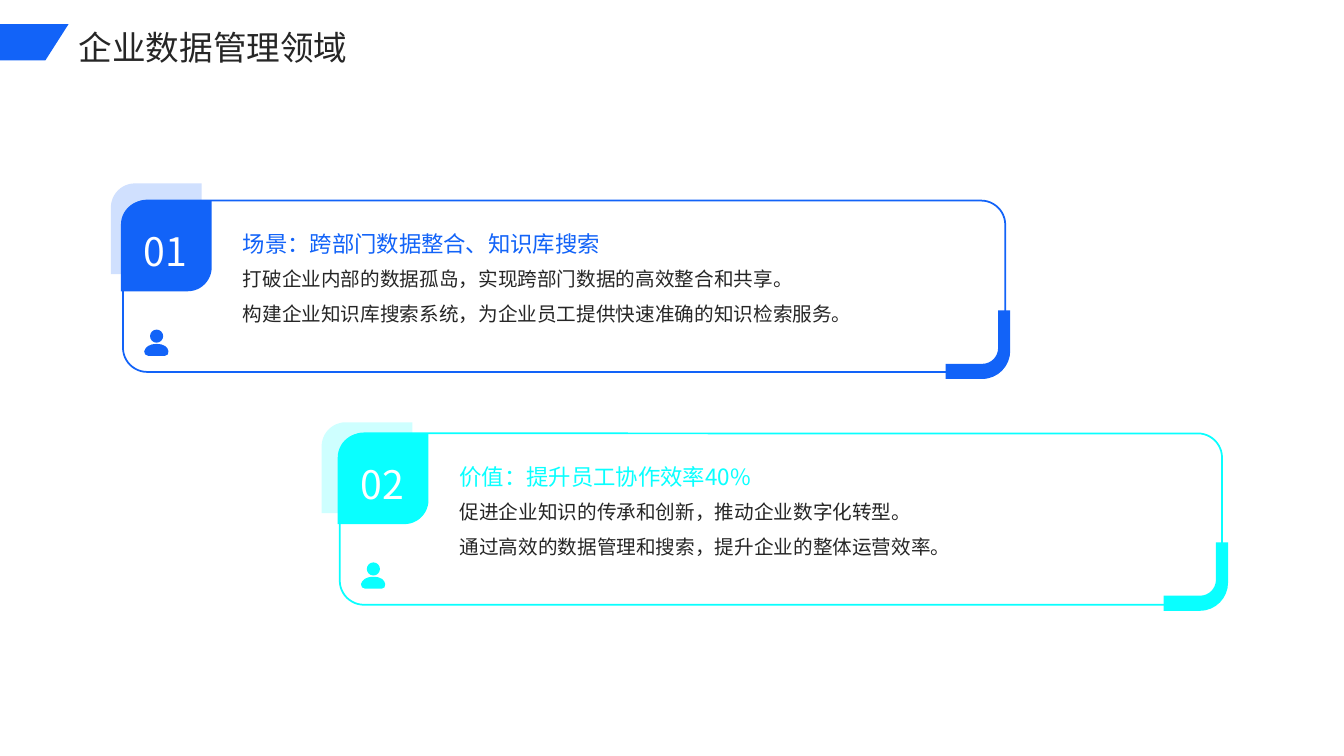
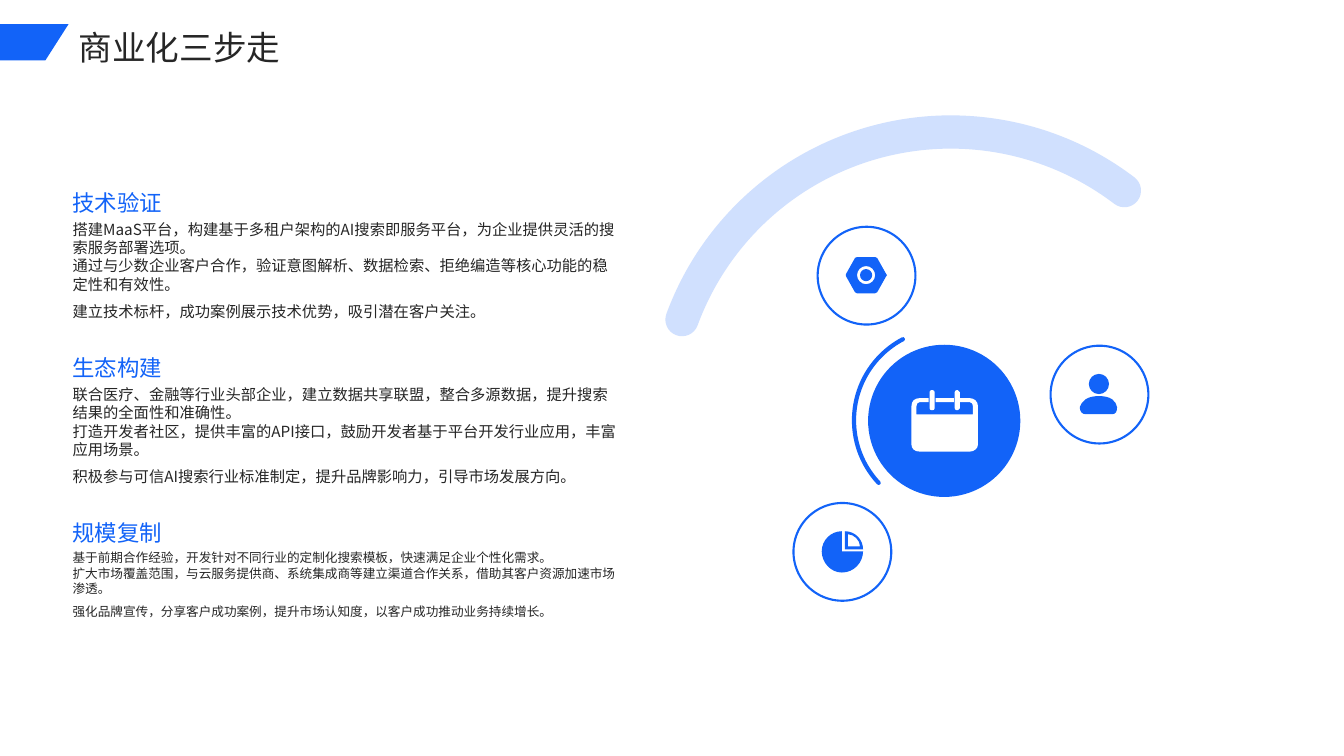
from pptx import Presentation
from pptx.dml.color import RGBColor
from pptx.enum.shapes import MSO_SHAPE
from pptx.enum.text import MSO_ANCHOR, PP_ALIGN
from pptx.oxml.ns import qn
from pptx.util import Inches, Pt

FONT = "Noto Sans CJK SC"
BLUE = RGBColor(0x12, 0x63, 0xF8)
CYAN = RGBColor(0x09, 0xFF, 0xFF)
PALE_BLUE = RGBColor(0xD0, 0xE0, 0xFE)
PALE_CYAN = RGBColor(0xCE, 0xFF, 0xFF)
WHITE = RGBColor(0xFF, 0xFF, 0xFF)
INK = RGBColor(0x26, 0x26, 0x26)

CARDS_TITLE = "企业数据管理领域"
CARDS = [
    dict(number="01", at=(1.22, 1.99), back=(1.1, 1.82), corner=(9.38, 3.08),
         color=BLUE, pale=PALE_BLUE,
         heading="场景：跨部门数据整合、知识库搜索",
         lines=["打破企业内部的数据孤岛，实现跨部门数据的高效整合和共享。",
                "构建企业知识库搜索系统，为企业员工提供快速准确的知识检索服务。"]),
    dict(number="02", at=(3.37, 4.3), back=(3.19, 4.19), corner=(11.54, 5.38),
         color=CYAN, pale=PALE_CYAN,
         heading="价值：提升员工协作效率40%",
         lines=["促进企业知识的传承和创新，推动企业数字化转型。",
                "通过高效的数据管理和搜索，提升企业的整体运营效率。"]),
]

STEPS_TITLE = "商业化三步走"
STEPS = [
    ("技术验证", 10.9,
     ["搭建MaaS平台，构建基于多租户架构的AI搜索即服务平台，为企业提供灵活的搜索服务部署选项。",
      "通过与少数企业客户合作，验证意图解析、数据检索、拒绝编造等核心功能的稳定性和有效性。",
      "建立技术标杆，成功案例展示技术优势，吸引潜在客户关注。"]),
    ("生态构建", 10.9,
     ["联合医疗、金融等行业头部企业，建立数据共享联盟，整合多源数据，提升搜索结果的全面性和准确性。",
      "打造开发者社区，提供丰富的API接口，鼓励开发者基于平台开发行业应用，丰富应用场景。",
      "积极参与可信AI搜索行业标准制定，提升品牌影响力，引导市场发展方向。"]),
    ("规模复制", 9,
     ["基于前期合作经验，开发针对不同行业的定制化搜索模板，快速满足企业个性化需求。",
      "扩大市场覆盖范围，与云服务提供商、系统集成商等建立渠道合作关系，借助其客户资源加速市场渗透。",
      "强化品牌宣传，分享客户成功案例，提升市场认知度，以客户成功推动业务持续增长。"]),
]
STEP_PITCH = 1.64
RINGS = [(8.11, 2.25), (10.42, 3.43), (7.87, 4.99)]
ARCS = [
    (6.59, 1.31, 5.68, 58.3, (85.12, 149.41), PALE_BLUE, 23.75),
    (8.47, 3.26, 1.82, 0, (82.19, 145.28), BLUE, 3),
]


def rounded(x, y, w, h, r):
    k = r * 0.45
    x2, y2 = x + w, y + h
    return [(x + r, y), (x2 - r, y), (x2 - k, y, x2, y + k, x2, y + r),
            (x2, y2 - r), (x2, y2 - k, x2 - k, y2, x2 - r, y2),
            (x + r, y2), (x + k, y2, x, y2 - k, x, y2 - r),
            (x, y + r), (x, y + k, x + k, y, x + r, y)]


BAND = [[(0, 0), (0.16, 0), (0.52, 0), (0.68, 0), (0.45, 0.36), (0.29, 0.36), (0.16, 0.36), (0, 0.36)]]
CORNER = [[(0.52, 0), (0.64, 0), (0.64, 0.4), (0.64, 0.55, 0.52, 0.68, 0.36, 0.68), (0, 0.68),
           (0, 0.53), (0.36, 0.53), (0.45, 0.53, 0.52, 0.46, 0.52, 0.37)]]
PERSON = [
    [(0.19, 0.22), (0.31, 0.22, 0.36, 0.27, 0.37, 0.33), (0.37, 0.37, 0.36, 0.4, 0.32, 0.4),
     (0.06, 0.4), (0.02, 0.4, 0, 0.37, 0, 0.33), (0.02, 0.27, 0.07, 0.22, 0.19, 0.22)],
    rounded(0.09, 0, 0.2, 0.2, 0.1),
]
CALENDAR = [
    [(0.24, 0.08), (0.42, 0.08), (0.42, 0.12), (0.24, 0.12)],
    [(0.08, 0.08), (0.17, 0.08), (0.17, 0.12), (0.08, 0.12), (0.06, 0.12, 0.05, 0.14, 0.05, 0.16),
     (0.05, 0.24), (0.61, 0.24), (0.61, 0.16), (0.61, 0.14, 0.6, 0.12, 0.58, 0.12), (0.48, 0.12),
     (0.48, 0.08), (0.58, 0.08), (0.62, 0.08, 0.66, 0.11, 0.66, 0.16), (0.66, 0.54),
     (0.66, 0.58, 0.62, 0.61, 0.58, 0.61), (0.08, 0.61), (0.03, 0.61, 0, 0.58, 0, 0.54),
     (0, 0.16), (0, 0.11, 0.03, 0.08, 0.08, 0.08)],
    rounded(0.18, 0, 0.05, 0.2, 0.02),
    rounded(0.43, 0, 0.05, 0.2, 0.02),
]
NUT = [
    rounded(0.14, 0.12, 0.12, 0.12, 0.06),
    rounded(0.11, 0.09, 0.18, 0.18, 0.09),
    [(0.11, 0), (0.29, 0), (0.3, 0, 0.3, 0.01, 0.31, 0.01), (0.4, 0.17),
     (0.41, 0.18, 0.41, 0.18, 0.4, 0.19), (0.31, 0.35), (0.3, 0.36, 0.3, 0.36, 0.29, 0.36),
     (0.11, 0.36), (0.1, 0.36, 0.1, 0.36, 0.09, 0.35), (0, 0.19), (0, 0.18, 0, 0.18, 0, 0.17),
     (0.09, 0.01), (0.1, 0.01, 0.1, 0, 0.11, 0)],
]
PIE = [
    [(0.26, 0.03), (0.26, 0.15), (0.38, 0.15), (0.38, 0.09, 0.32, 0.03, 0.26, 0.03)],
    [(0.23, 0), (0.33, 0, 0.41, 0.08, 0.41, 0.18), (0.23, 0.18)],
    [(0.2, 0), (0.2, 0.2), (0.41, 0.2), (0.41, 0.31, 0.32, 0.41, 0.2, 0.41),
     (0.09, 0.41, 0, 0.31, 0, 0.2), (0, 0.09, 0.09, 0, 0.2, 0)],
]


def paint(sp, fill=None, line=None, width=1):
    sp.shadow.inherit = False
    if fill is None:
        sp.fill.background()
    else:
        sp.fill.solid()
        sp.fill.fore_color.rgb = fill
    if line is None:
        sp.line.fill.background()
    else:
        sp.line.color.rgb = line
        sp.line.width = Pt(width)
    return sp


def add_preset(slide, kind, box, fill=None, line=None, width=1, adj=()):
    sp = slide.shapes.add_shape(kind, *map(Inches, box))
    for i, value in enumerate(adj):
        sp.adjustments[i] = value
    return paint(sp, fill, line, width)


def add_outline(slide, contours, fill, x, y, scale=1):
    builder, curved = None, []
    for contour in contours:
        pts = []
        for node in contour:
            pts += [(Inches(x + px * scale), Inches(y + py * scale))
                    for px, py in zip(node[::2], node[1::2])]
            if pts[1:]:
                curved.append(len(node) == 6)
        if builder is None:
            builder = slide.shapes.build_freeform(*pts[0], scale=1.0)
        else:
            builder.move_to(*pts[0])
        builder.add_line_segments(pts[1:], close=True)
    sp = paint(builder.convert_to_shape(), fill)
    lines = iter(list(sp._element.iter(qn("a:lnTo"))))
    for is_curve in curved:
        first = next(lines)
        if is_curve:
            first.tag = qn("a:cubicBezTo")
            for _ in range(2):
                control = next(lines)
                first.append(control[0])
                control.getparent().remove(control)
    return sp


def write(tf, lines, size, color, spacings, **frame):
    for name, value in dict(dict(word_wrap=True, vertical_anchor=MSO_ANCHOR.TOP), **frame).items():
        setattr(tf, name, value)
    for i, (text, spacing) in enumerate(zip(lines, spacings)):
        p = tf.paragraphs[0] if i == 0 else tf.add_paragraph()
        p.alignment = PP_ALIGN.LEFT
        p.line_spacing = spacing
        r = p.add_run()
        r.text = text
        for name, value in dict(name=FONT, size=Pt(size)).items():
            setattr(r.font, name, value)
        r.font.color.rgb = color
        ea = r.font._element.makeelement(qn("a:ea"), {"typeface": FONT})
        r.font._element.find(qn("a:latin")).addnext(ea)


def add_text(slide, box, lines, size, color, spacings, **frame):
    sp = slide.shapes.add_textbox(*map(Inches, box))
    write(sp.text_frame, lines, size, color, spacings, **frame)


def add_titled_slide(prs, title):
    slide = prs.slides.add_slide(prs.slide_layouts[5])
    add_outline(slide, BAND, BLUE, 0, 0.24)
    sp = slide.shapes.title
    sp.left, sp.top, sp.width, sp.height = map(Inches, (0.68, 0.18, 11.71, 0.46))
    write(sp.text_frame, [title], 24, INK, [1.1])
    return slide


def add_card(slide, card):
    x, y = card["at"]
    color = card["color"]
    badge = dict(kind=MSO_SHAPE.ROUND_2_DIAG_RECTANGLE, adj=(0.265, 0))
    add_preset(slide, box=(*card["back"], 0.9, 0.9), fill=card["pale"], **badge)
    add_preset(slide, MSO_SHAPE.ROUNDED_RECTANGLE, (x, y, 8.75, 1.7), WHITE, color, 1.25, (0.141,))
    add_preset(slide, box=(x - 0.02, y, 0.9, 0.9), fill=color, **badge)
    add_text(slide, (x + 0.11, y + 0.17, 0.66, 0.57), [card["number"]], 28, WHITE, [1.1])
    add_outline(slide, PERSON, color, x + 0.21, y + 1.28, 0.65)
    add_outline(slide, CORNER, color, *card["corner"])
    add_text(slide, (x + 1.09, y + 0.09, 7.44, 0.52), [card["heading"]], 16, color, [1.3],
             vertical_anchor=MSO_ANCHOR.BOTTOM)
    add_text(slide, (x + 1.09, y + 0.61, 7.44, 0.94), card["lines"], 14, INK, [1.0, 1.5])


def add_diagram(slide):
    for x, y, size, rotation, adj, color, width in ARCS:
        sp = add_preset(slide, MSO_SHAPE.ARC, (x, y, size, size), None, color, width, adj)
        sp.rotation = rotation
        sp.line._get_or_add_ln().set("cap", "rnd")
    add_preset(slide, MSO_SHAPE.OVAL, (8.61, 3.42, 1.51, 1.51), BLUE)
    add_outline(slide, CALENDAR, WHITE, 9.04, 3.87)
    for x, y in RINGS:
        add_preset(slide, MSO_SHAPE.OVAL, (x, y, 0.97, 0.97), WHITE, BLUE, 1.5)
    for icon, x, y in ((NUT, 8.39, 2.55), (PERSON, 10.71, 3.71), (PIE, 8.15, 5.27)):
        add_outline(slide, icon, BLUE, x, y)


def add_steps(slide):
    flush = dict.fromkeys(("margin_left", "margin_top", "margin_right", "margin_bottom"), 0)
    for i, (heading, size, lines) in enumerate(STEPS):
        y = 1.6 + i * STEP_PITCH
        add_text(slide, (0.72, y, 5.39, 0.54), [heading], 16, BLUE, [1.5],
                 vertical_anchor=MSO_ANCHOR.BOTTOM, **flush)
        add_text(slide, (0.72, y + 0.58, 5.39, 1.09), lines, size, INK, [1.0, 1.0, 1.5], **flush)


def main():
    prs = Presentation()
    prs.slide_width, prs.slide_height = Inches(13.33), Inches(7.5)
    slide = add_titled_slide(prs, CARDS_TITLE)
    for card in CARDS:
        add_card(slide, card)
    slide = add_titled_slide(prs, STEPS_TITLE)
    add_diagram(slide)
    add_steps(slide)
    prs.save("out.pptx")


if __name__ == "__main__":
    main()
